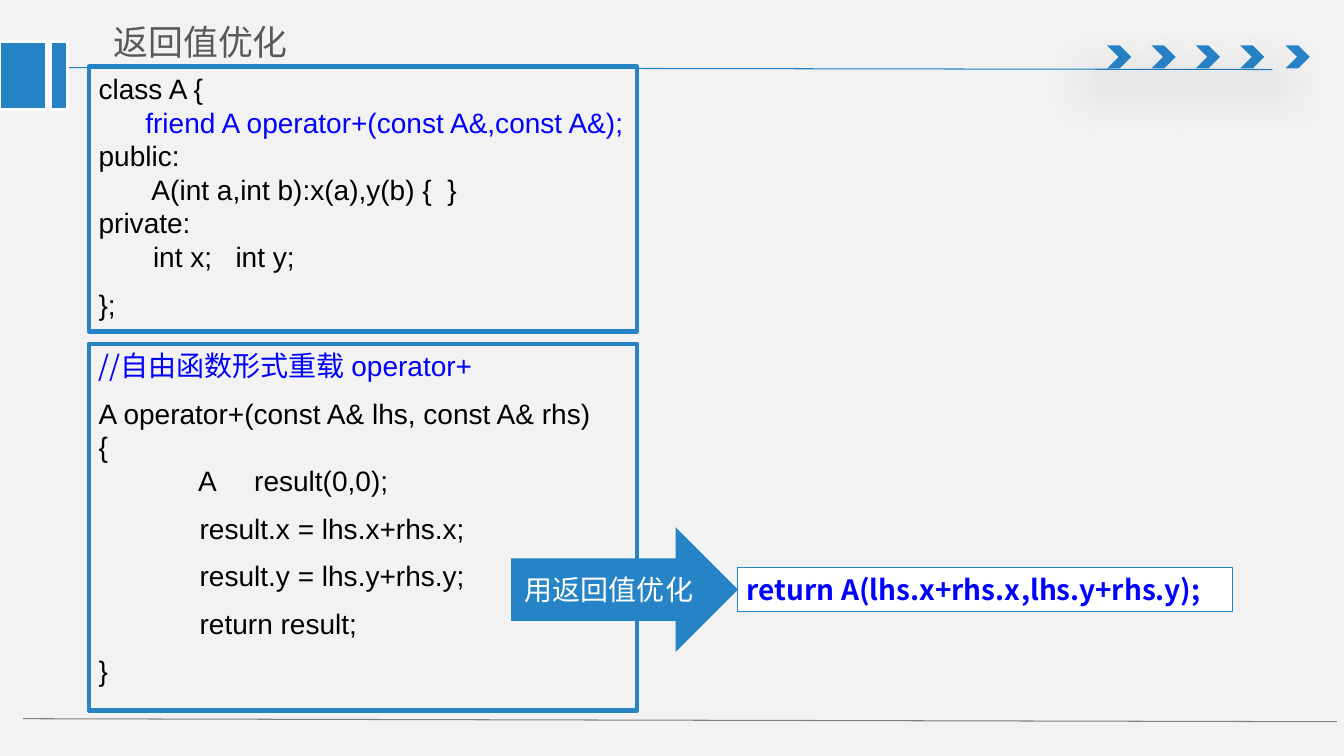
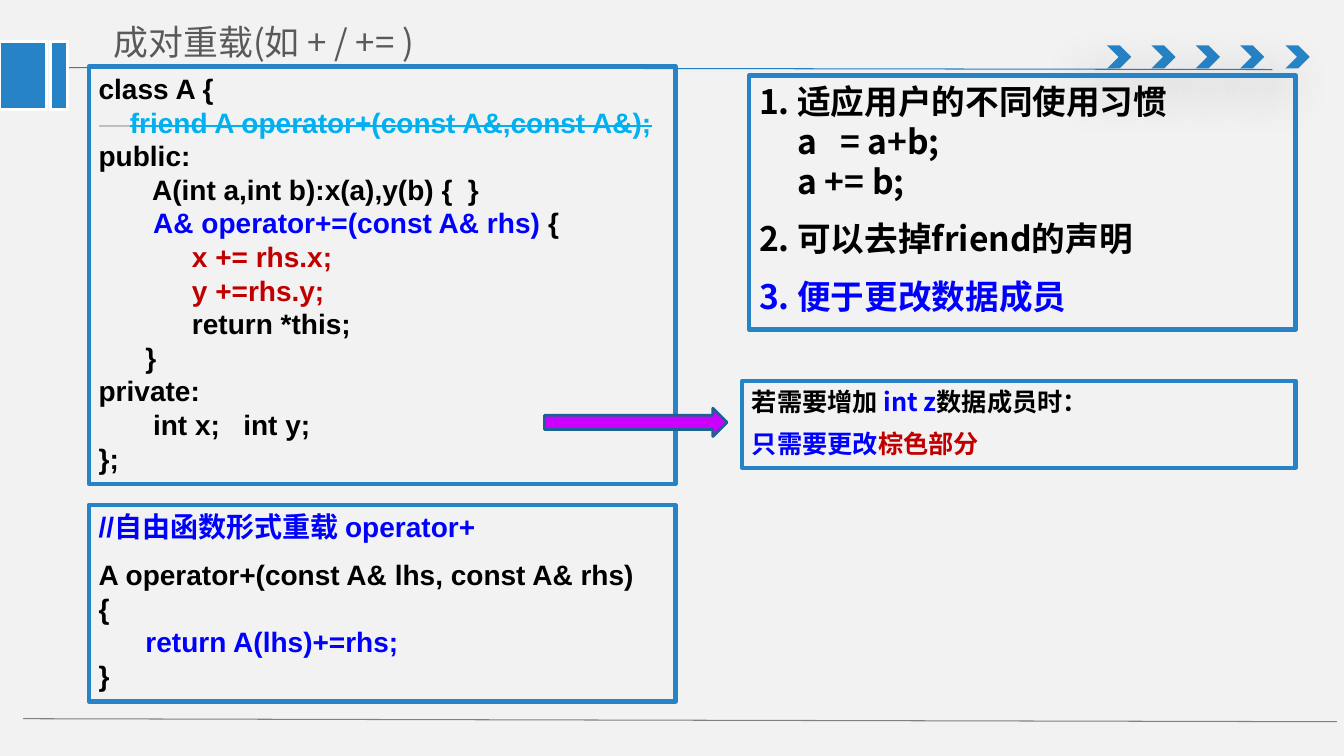
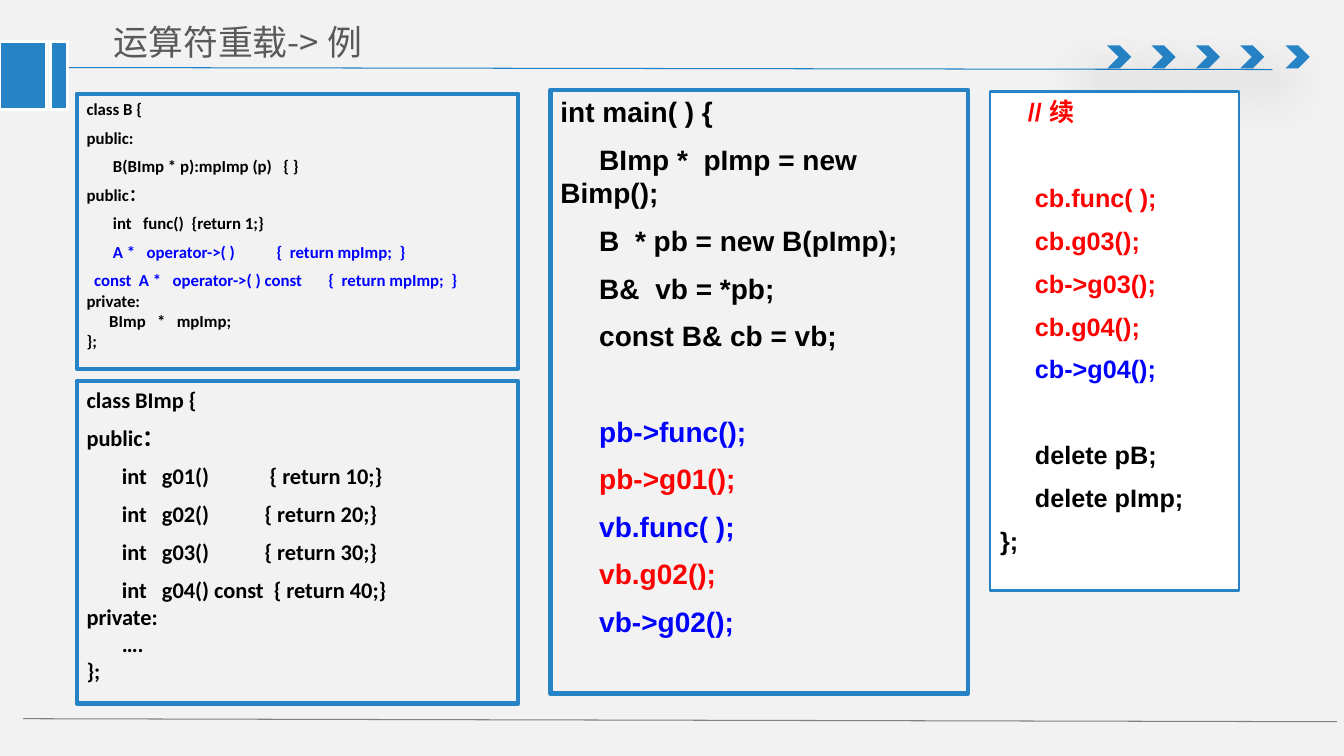
"""Build three slides on C++ operator overloading."""
from collections import namedtuple

from lxml import etree
from pptx import Presentation
from pptx.dml.color import RGBColor
from pptx.enum.shapes import MSO_CONNECTOR, MSO_SHAPE
from pptx.enum.text import MSO_ANCHOR, PP_ALIGN
from pptx.oxml.ns import qn
from pptx.util import Emu, Pt

SCALE = 9144
RECT, CHEVRON, ARROW = MSO_SHAPE.RECTANGLE, MSO_SHAPE.CHEVRON, MSO_SHAPE.RIGHT_ARROW
STRAIGHT = MSO_CONNECTOR.STRAIGHT
TOP, MIDDLE = MSO_ANCHOR.TOP, MSO_ANCHOR.MIDDLE
LEFT, CENTER = PP_ALIGN.LEFT, PP_ALIGN.CENTER

PAPER = RGBColor(0xF2, 0xF2, 0xF2)
WHITE = RGBColor(0xFF, 0xFF, 0xFF)
BLACK = RGBColor(0x00, 0x00, 0x00)
THEME = RGBColor(0x26, 0x83, 0xC6)
RULE = RGBColor(0x21, 0x81, 0xC6)
NAVY = RGBColor(0x1C, 0x61, 0x92)
GRAY = RGBColor(0x80, 0x80, 0x80)
SILVER = RGBColor(0xBF, 0xBF, 0xBF)
SLATE = RGBColor(0x59, 0x59, 0x59)
BLUE = RGBColor(0x00, 0x00, 0xFF)
CYAN = RGBColor(0x00, 0xB0, 0xF0)
RED = RGBColor(0xFF, 0x00, 0x00)
BROWN = RGBColor(0xC0, 0x00, 0x00)
PURPLE = RGBColor(0xCC, 0x00, 0xFF)

ARIAL, CALIBRI, NOTO = "Arial", "Calibri", "Noto Sans CJK SC"

Bit = namedtuple("Bit", "text color font strike", defaults=(BLACK, None, False))


def px(count):
    return Emu(count * SCALE)


class Deck:
    """Hold the shared style and the current slide."""

    def __init__(self):
        self.prs = Presentation()
        self.prs.slide_width, self.prs.slide_height = px(1333), px(750)
        self.slide = None

    def start(self, title):
        self.slide = self.prs.slides.add_slide(self.prs.slide_layouts[6])
        fill = self.slide.background.fill
        fill.solid()
        fill.fore_color.rgb = PAPER
        self.line((53, 67), (1262, 69), RULE)
        for i in range(5):
            self.glow(self.shape(CHEVRON, (1098 + 177 * i // 4, 45, 24, 23), THEME))
        self.line((23, 713), (1326, 716), GRAY)
        for left, width in ((0, 46), (50, 17)):
            self.shape(RECT, (left, 41, width, 68), THEME, WHITE, 2)
        frame = self.slide.shapes.add_textbox(*map(px, (99, 14, 463, 55))).text_frame
        frame.margin_left = frame.margin_right = px(14)
        frame.margin_top = frame.margin_bottom = px(7)
        self.words(frame, [title], 24.9, NOTO, color=SLATE, anchor=MIDDLE)

    def line(self, start, end, color):
        rule = self.slide.shapes.add_connector(STRAIGHT, *map(px, start + end))
        rule.line.color.rgb = color
        rule.line.width = Pt(0.75)
        etree.SubElement(rule._element.spPr, qn("a:effectLst"))

    def shape(self, kind, place, fill=None, edge=None, weight=3):
        item = self.slide.shapes.add_shape(kind, *map(px, place))
        item.shadow.inherit = False
        if fill is None:
            item.fill.background()
        else:
            item.fill.solid()
            item.fill.fore_color.rgb = fill
        if edge is None:
            item.line.fill.background()
        else:
            item.line.color.rgb = edge
            item.line.width = Pt(weight)
        return item

    def glow(self, item):
        effects = item._element.spPr.find(qn("a:effectLst"))
        shadow = etree.SubElement(
            effects, qn("a:outerShdw"), blurRad=str(Pt(36)), dist=str(Pt(24)),
            dir=str(130 * 60000), rotWithShape="0")
        color = etree.SubElement(shadow, qn("a:srgbClr"), val=str(BLACK))
        etree.SubElement(color, qn("a:alpha"), val="38000")

    def box(self, place, paras, size=20, font=ARIAL, bold=True,
            fill=None, weight=3, listed=False):
        item = self.shape(RECT, place, fill, THEME, weight)
        self.words(item.text_frame, paras, size, font, bold, listed=listed)

    def arrow(self, place, fill, edge=None, label=None):
        item = self.shape(ARROW, place, fill, edge, 2)
        if label:
            self.words(item.text_frame, [label], 20, NOTO, color=WHITE,
                       anchor=MIDDLE, align=CENTER)

    def words(self, frame, paras, size, font, bold=False, color=BLACK,
              anchor=TOP, align=LEFT, listed=False):
        frame.word_wrap = True
        frame.vertical_anchor = anchor
        para, gap = frame.paragraphs[0], 0
        for entry in paras:
            if entry is None:
                gap += size * 1.7
                continue
            if gap:
                para = frame.add_paragraph()
                para.space_before = Pt(gap)
            gap = size * 0.5
            if isinstance(entry, str):
                entry = [Bit(entry, color)]
            elif isinstance(entry, Bit):
                entry = [entry]
            if listed:
                self.number(para)
            para.alignment = align
            para.line_spacing = Pt(size * 1.2)
            para.font.size, para.font.bold = Pt(size), bold
            self.face(para.font, font)
            same = len({bit.color for bit in entry}) == 1
            if same:
                para.font.color.rgb = entry[0].color
            for bit in entry:
                self.runs(para, bit, same)

    def number(self, para):
        props = para._p.get_or_add_pPr()
        props.set("marL", str(px(38)))
        props.set("indent", str(px(-38)))
        etree.SubElement(props, qn("a:buFont"), typeface="+mj-lt")
        etree.SubElement(props, qn("a:buAutoNum"), type="arabicPeriod")

    def face(self, font, name):
        font.name = name
        latin = font._element.find(qn("a:latin"))
        latin.addnext(latin.makeelement(qn("a:ea"), {"typeface": NOTO}))

    def runs(self, para, bit, same):
        for i, text in enumerate(bit.text.split("\n")):
            if i:
                para.add_line_break()
            if not text:
                continue
            run = para.add_run()
            run.text = text
            if not same:
                run.font.color.rgb = bit.color
            if bit.font:
                self.face(run.font, bit.font)
            if bit.strike:
                run._r.get_or_add_rPr().set("strike", "sngStrike")


def value(deck):
    deck.start("返回值优化")
    deck.box((88, 66, 544, 263), [
        [Bit("class A {\n      "),
         Bit("friend A operator+(const A&,const A&);\n", BLUE),
         Bit("public:\n       A(int a,int b):x(a),y(b) {  }\n"
             "private:\n       int x;   int y;")],
        "};",
    ], bold=False)
    deck.box((88, 341, 544, 364), [
        [Bit("//自由函数形式重载 ", BLUE, NOTO), Bit("operator+", BLUE)],
        "A operator+(const A& lhs, const A& rhs)\n{\n             A     result(0,0);",
        "             result.x = lhs.x+rhs.x;",
        "             result.y = lhs.y+rhs.y;",
        "             return result;",
        "}",
    ], bold=False)
    deck.box((731, 563, 491, 44), [Bit("return A(lhs.x+rhs.x,lhs.y+rhs.y);", BLUE)],
             font=NOTO, fill=WHITE, weight=0.75)
    deck.arrow((507, 523, 225, 124), THEME, label="用返回值优化")


def pairs(deck):
    deck.start("成对重载(如 + / += )")
    deck.box((88, 66, 582, 414), [
        [Bit("class A {\n"),
         Bit("    ", SILVER, strike=True),
         Bit("friend A operator+(const A&,const A&);\n", CYAN, strike=True),
         Bit("public:\n       A(int a,int b):x(a),y(b) {  }\n       "),
         Bit("A& operator+=(const A& rhs) ", BLUE),
         Bit("{\n"),
         Bit("            x += rhs.x;\n            y +=rhs.y;\n", BROWN),
         Bit("            return *this;\n      }\nprivate:\n       int x;   int y;\n};")],
    ])
    deck.box((88, 501, 582, 195), [
        Bit("//自由函数形式重载 operator+", BLUE),
        [Bit("A operator+(const A& lhs, const A& rhs)\n{\n      "),
         Bit("return A(lhs)+=rhs;\n", BLUE),
         Bit("}")],
    ])
    deck.box((743, 75, 542, 252), [
        "适应用户的不同使用习惯\na   = a+b;\na += b;",
        "可以去掉friend的声明",
        Bit("便于更改数据成员", BLUE),
    ], 24, NOTO, listed=True)
    deck.box((736, 378, 549, 86), [
        [Bit("若需要增加 "), Bit("int z", BLUE), Bit("数据成员时：")],
        [Bit("只需要更改", BLUE), Bit("棕色部分", BROWN)],
    ], 18, NOTO)
    deck.arrow((540, 405, 181, 28), PURPLE, NAVY)


def sample(deck):
    deck.start("运算符重载-> 例")
    deck.box((76, 93, 438, 273), [
        "class B {",
        "public:",
        "       B(BImp * p):mpImp (p)   { }",
        "public：",
        "       int   func()  {return 1;}",
        Bit("       A *   operator->( )           {  return mpImp;  }", BLUE),
        [Bit("  const  A *   operator->( ) const       {  return mpImp;  }\n", BLUE),
         Bit("private:\n      BImp   *   mpImp;\n};")],
    ], 12, CALIBRI)
    deck.box((76, 378, 438, 320), [
        "class BImp {",
        "public：",
        "       int   g01()            { return 10;}",
        "       int   g02()           { return 20;}",
        "       int   g03()           { return 30;}",
        "       int   g04() const  { return 40;}\nprivate:\n       ….\n};",
    ], 16, CALIBRI)
    deck.box((546, 89, 414, 599), [
        "int main( ) {",
        "     BImp *  pImp = new Bimp();",
        "     B  * pb = new B(pImp);",
        "     B&  vb = *pb;",
        "     const B& cb = vb;",
        None,
        Bit("     pb->func();", BLUE),
        Bit("     pb->g01();", RED),
        Bit("     vb.func( );", BLUE),
        Bit("     vb.g02();", RED),
        Bit("     vb->g02();", BLUE),
    ])
    deck.box((982, 91, 247, 495), [
        Bit("    // 续", RED),
        None,
        Bit("     cb.func( );", RED),
        Bit("     cb.g03();", RED),
        Bit("     cb->g03();", RED),
        Bit("     cb.g04();", RED),
        Bit("     cb->g04();", BLUE),
        None,
        "     delete pB;",
        "     delete pImp;",
        "};",
    ], 18, fill=WHITE, weight=2)


def main():
    deck = Deck()
    for build in (value, pairs, sample):
        build(deck)
    deck.prs.save("out.pptx")


if __name__ == "__main__":
    main()
